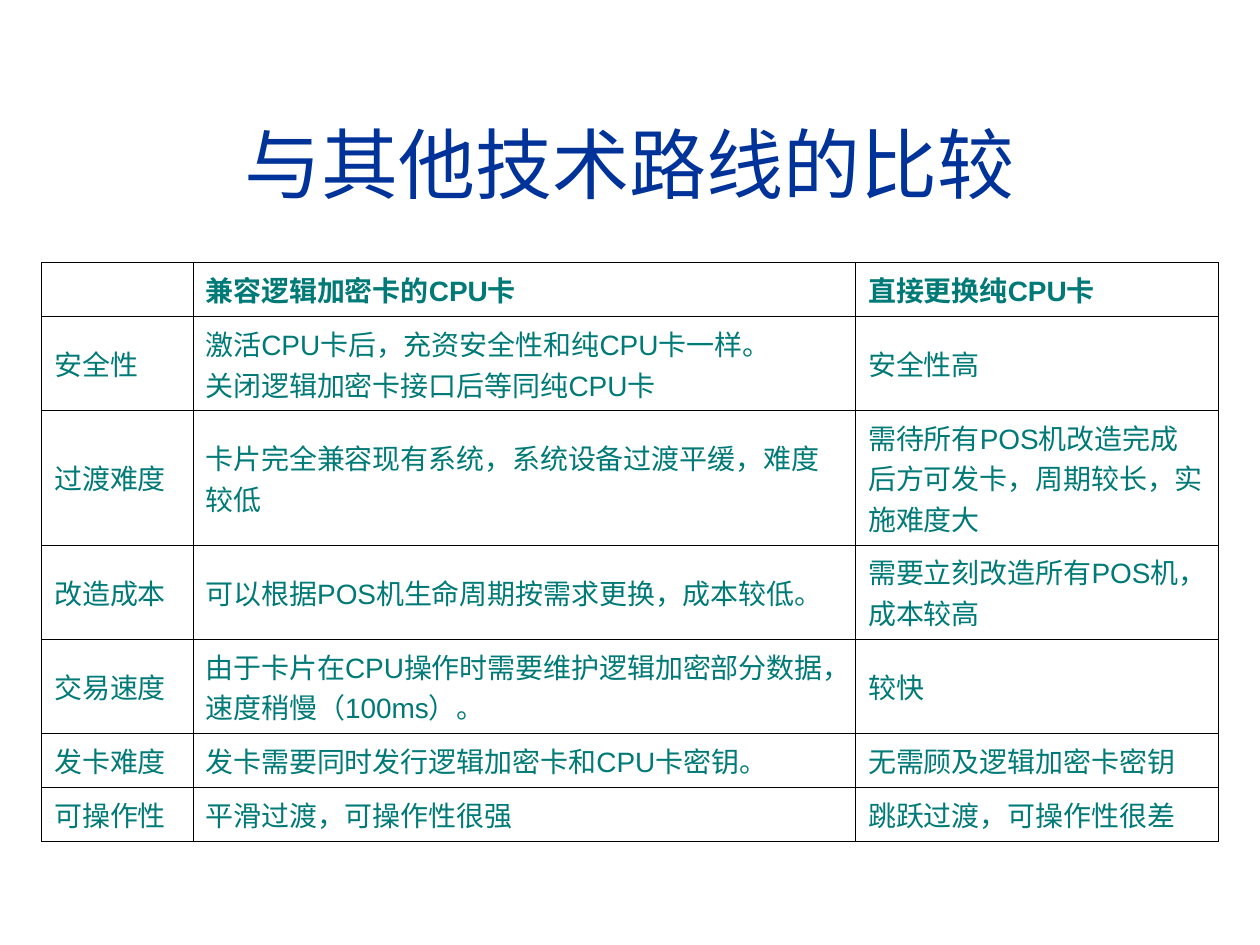
from lxml.etree import SubElement
from pptx import Presentation
from pptx.dml.color import RGBColor
from pptx.enum.text import MSO_ANCHOR, PP_ALIGN
from pptx.oxml import parse_xml
from pptx.oxml.ns import nsdecls, qn
from pptx.util import Pt

COLORS = {"title": "003399", "text": "007A77", "fill": "FFFFFF", "border": "000000"}
CJK_FONT = "Noto Sans CJK SC"
COL_WIDTHS = [86.4, 378.7, 207.4]
ROW_LINES = [1, 2, 3, 2, 2, 1, 1]
LINE_HEIGHT, ROW_PADDING = 22.9, 8
ROWS = [
    ["", "兼容逻辑加密卡的CPU卡", "直接更换纯CPU卡"],
    ["安全性", "激活CPU卡后，充资安全性和纯CPU卡一样。\n关闭逻辑加密卡接口后等同纯CPU卡", "安全性高"],
    ["过渡难度", "卡片完全兼容现有系统，系统设备过渡平缓，难度较低",
     "需待所有POS机改造完成后方可发卡，周期较长，实施难度大"],
    ["改造成本", "可以根据POS机生命周期按需求更换，成本较低。", "需要立刻改造所有POS机，成本较高"],
    ["交易速度", "由于卡片在CPU操作时需要维护逻辑加密部分数据，速度稍慢（100ms）。", "较快"],
    ["发卡难度", "发卡需要同时发行逻辑加密卡和CPU卡密钥。", "无需顾及逻辑加密卡密钥"],
    ["可操作性", "平滑过渡，可操作性很强", "跳跃过渡，可操作性很差"],
]


def write_text(tf, text, size, color, font="Arial", bold=False, align=PP_ALIGN.LEFT):
    """Write each line of text as one formatted paragraph."""
    for i, line in enumerate(text.split("\n")):
        p = tf.add_paragraph() if i else tf.paragraphs[0]
        p.alignment = align
        r = p.add_run()
        r.text = line
        r.font.size, r.font.bold, r.font.name = Pt(size), bold, font
        r.font.color.rgb = RGBColor.from_string(COLORS[color])
        SubElement(r.font._element, qn("a:ea"), typeface=CJK_FONT)


def style_cell(cell):
    """Give a cell a half transparent fill and thin borders."""
    cell.vertical_anchor = MSO_ANCHOR.MIDDLE
    cell.margin_left = cell.margin_right = Pt(7.2)
    cell.margin_top = cell.margin_bottom = Pt(3.6)
    cell.fill.solid()
    cell.fill.fore_color.rgb = RGBColor.from_string(COLORS["fill"])
    tcPr = cell._tc.get_or_add_tcPr()
    SubElement(tcPr.find(".//" + qn("a:srgbClr")), qn("a:alpha"), val="50000")
    for i, side in enumerate("LRTB"):
        tcPr.insert(i, parse_xml(
            f'<a:ln{side} {nsdecls("a")} w="{Pt(0.45)}"><a:solidFill>'
            f'<a:srgbClr val="{COLORS["border"]}"/></a:solidFill></a:ln{side}>'))


def add_title(s, text, x, y, w, h):
    """Place the centred slide title in its box."""
    tf = s.shapes.add_textbox(Pt(x), Pt(y), Pt(w), Pt(h)).text_frame
    tf.word_wrap = True
    tf.vertical_anchor = MSO_ANCHOR.MIDDLE
    write_text(tf, text, 44, "title", font=CJK_FONT, align=PP_ALIGN.CENTER)


def add_comparison(s, x, y):
    """Place the comparison table with its top left corner at x, y."""
    heights = [ROW_PADDING + n * LINE_HEIGHT for n in ROW_LINES]
    table = s.shapes.add_table(len(ROWS), len(COL_WIDTHS), Pt(x), Pt(y),
                               Pt(sum(COL_WIDTHS)), Pt(sum(heights))).table
    table.horz_banding = False
    for col, width in zip(table.columns, COL_WIDTHS):
        col.width = Pt(width)
    for i, (row, height) in enumerate(zip(table.rows, heights)):
        row.height = Pt(height)
        for cell, text in zip(row.cells, ROWS[i]):
            style_cell(cell)
            if text:
                write_text(cell.text_frame, text, 16, "text", bold=i == 0)


prs = Presentation()
prs.slide_width, prs.slide_height = Pt(720), Pt(540)
s = prs.slides.add_slide(prs.slide_layouts[6])
add_title(s, "与其他技术路线的比较", 23.8, 48, sum(COL_WIDTHS), 90)
add_comparison(s, 23.8, 150)
prs.save("out.pptx")
